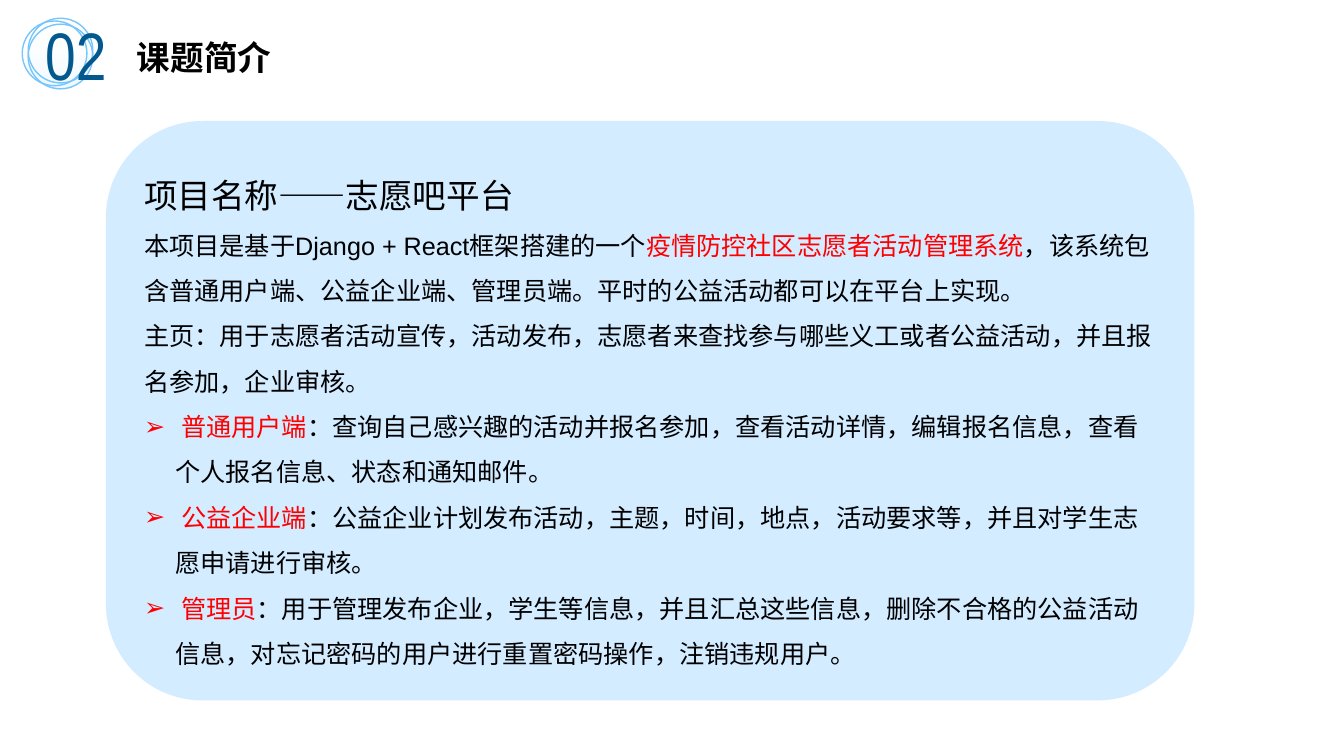
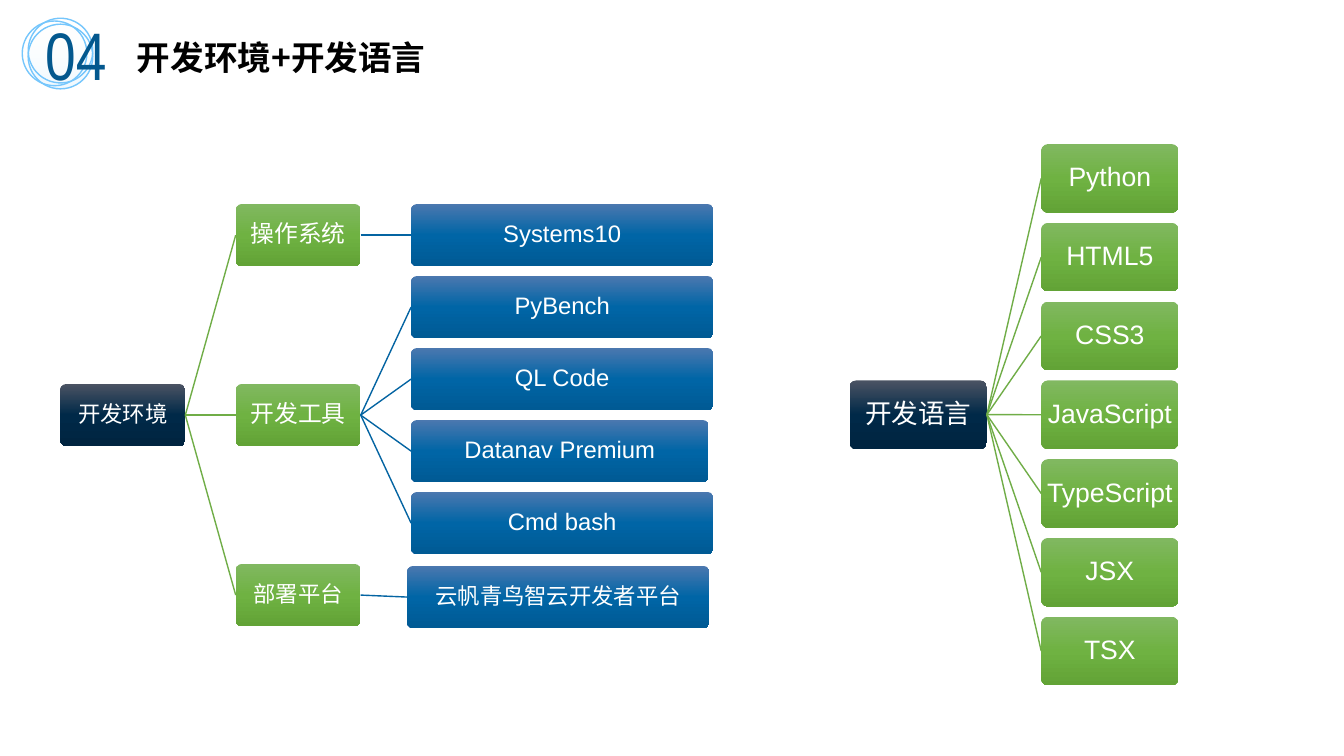
from dataclasses import dataclass

from lxml import etree
from pptx import Presentation
from pptx.dml.color import RGBColor
from pptx.enum.shapes import MSO_CONNECTOR, MSO_SHAPE
from pptx.enum.text import MSO_ANCHOR, MSO_AUTO_SIZE, PP_ALIGN
from pptx.oxml.ns import qn
from pptx.util import Cm, Pt

ELLIPSE = MSO_SHAPE.OVAL
ROUNDED = MSO_SHAPE.ROUNDED_RECTANGLE
STRAIGHT = MSO_CONNECTOR.STRAIGHT
TOP, MIDDLE = MSO_ANCHOR.TOP, MSO_ANCHOR.MIDDLE
LEFT, CENTER = PP_ALIGN.LEFT, PP_ALIGN.CENTER
NO_FIT = MSO_AUTO_SIZE.NONE
TITLE_AND_BODY, TITLE_ONLY = 1, 5
SITE_LEFT, SITE_RIGHT = 1, 3

LATIN, NARROW, CJK = "Arial", "Arial Narrow", "Noto Sans CJK SC"
BLACK, WHITE, RED = "000000", "FFFFFF", "FF0000"
PANEL_BLUE, NUMBER_BLUE, RING_BLUE = "D3ECFF", "03588E", "75C6FC"
RING_LIGHT, RING_DARK = "EEF8FF", "9AD6FD"
LEVEL_FILLS = [
    [(0, "4B5363"), (50, "002948"), (100, "002440")],
    [(0, "81B861"), (50, "6FB242"), (100, "62A336")],
    [(0, "4B78AF"), (50, "0065A6"), (100, "005A94")],
]
LEVEL_LINES = [None, "70AD47", "0464A2"]
RINGS = [
    (0.15, 0.15, 0, 0, 16),
    (0, 0.07, 60, 69, 29),
    (0.15, 0, 138.6, 74, 29),
]
RING_SIZE = 1.63

HEADING = "项目名称——志愿吧平台"
INTRO = [
    [
        ("本项目是基于Django + React框架搭建的一个", BLACK),
        ("疫情防控社区志愿者活动管理系统", RED),
        ("，该系统包含普通用户端、公益企业端、管理员端。"
         "平时的公益活动都可以在平台上实现。", BLACK),
    ],
    [("主页：用于志愿者活动宣传，活动发布，志愿者来查找参与哪些义工"
      "或者公益活动，并且报名参加，企业审核。", BLACK)],
]
ROLES = [
    ("普通用户端", "：查询自己感兴趣的活动并报名参加，查看活动详情，"
     "编辑报名信息，查看个人报名信息、状态和通知邮件。"),
    ("公益企业端", "：公益企业计划发布活动，主题，时间，地点，活动要求等，"
     "并且对学生志愿申请进行审核。"),
    ("管理员", "：用于管理发布企业，学生等信息，并且汇总这些信息，"
     "删除不合格的公益活动信息，对忘记密码的用户进行重置密码操作，注销违规用户。"),
]


@dataclass
class Node:
    text: str
    size: int = 17
    children: tuple = ()
    dx: float = 0
    dy: float = 0
    dw: float = 0


@dataclass
class TreeStyle:
    widths: tuple
    height: float
    gap: float


ENVIRONMENT = Node("开发环境", 16, (
    Node("操作系统", children=(Node("Systems10"),)),
    Node("开发工具", children=(
        Node("PyBench"),
        Node("QL Code"),
        Node("Datanav Premium", dw=-0.12),
        Node("Cmd bash"),
    )),
    Node("部署平台", 16, (Node("云帆青鸟智云开发者平台", 16, dx=-0.1, dy=0.05),)),
))
LANGUAGES = Node("开发语言", 19, tuple(
    Node(name, 19) for name in
    ("Python", "HTML5", "CSS3", "JavaScript", "TypeScript", "JSX", "TSX")
))
ENVIRONMENT_STYLE = TreeStyle((3.15, 3.15, 7.62), 1.57, 1.27)
LANGUAGES_STYLE = TreeStyle((3.46, 3.46), 1.73, 1.37)


def rgb(value):
    return RGBColor.from_string(value)


def apply(obj, **values):
    for name, value in values.items():
        setattr(obj, name, value)


def place(sp, x, y, w, h):
    apply(sp, left=Cm(x), top=Cm(y), width=Cm(w), height=Cm(h))


def frame(sp, anchor=TOP, wrap=True, x_inset=0.25, y_inset=0.13):
    tf = sp.text_frame
    apply(tf, auto_size=NO_FIT, word_wrap=wrap, vertical_anchor=anchor,
          margin_left=Cm(x_inset), margin_right=Cm(x_inset),
          margin_top=Cm(y_inset), margin_bottom=Cm(y_inset))
    return tf


def add_run(p, text, size, color, font=LATIN, bold=False):
    r = p.add_run()
    r.text = text
    apply(r.font, size=Pt(size), name=font, bold=bold)
    r.font.color.rgb = rgb(color)
    ea = etree.SubElement(r._r.get_or_add_rPr(), qn("a:ea"))
    ea.set("typeface", CJK)


def add_shape(slide, kind, x, y, w, h):
    sp = slide.shapes.add_shape(kind, Cm(x), Cm(y), Cm(w), Cm(h))
    sp.shadow.inherit = False
    sp.line.fill.background()
    return sp


def gradient(sp, stops):
    sp.fill.gradient()
    sp.fill.gradient_angle = 270
    gs_list = sp._element.spPr.find(".//" + qn("a:gsLst"))
    for gs in list(gs_list):
        gs_list.remove(gs)
    for pos, color, *alpha in stops:
        gs = etree.SubElement(gs_list, qn("a:gs"), pos=str(pos * 1000))
        clr = etree.SubElement(gs, qn("a:srgbClr"), val=color)
        for value in alpha:
            etree.SubElement(clr, qn("a:alpha"), val=str(value * 1000))


def add_header(slide, x, y, number, title):
    sp = slide.shapes.title
    place(sp, x + 2.64, y + 0.33, 12.45, 1.27)
    p = frame(sp).paragraphs[0]
    p.alignment = LEFT
    add_run(p, title, 24, BLACK, CJK, True)
    for dx, dy, angle, start, alpha in RINGS:
        ring = add_shape(slide, ELLIPSE, x + dx, y + dy, RING_SIZE, RING_SIZE)
        ring.rotation = angle
        gradient(ring, [(start, RING_LIGHT, 0), (100, RING_DARK, alpha)])
        ring.line.color.rgb = rgb(RING_BLUE)
        ring.line.width = Pt(1)
    box = slide.shapes.add_textbox(Cm(x + 0.33), Cm(y - 0.26), Cm(2.29), Cm(2.31))
    add_run(frame(box, wrap=False).paragraphs[0], number, 48, NUMBER_BLUE, NARROW)


def set_bullet(p, char=None):
    indent = Cm(0.79) if char else 0
    pPr = p._p.get_or_add_pPr()
    pPr.set("marL", str(indent))
    pPr.set("indent", str(-indent))
    if char:
        etree.SubElement(pPr, qn("a:buFont"), typeface=LATIN)
        etree.SubElement(pPr, qn("a:buChar"), char=char)
    else:
        etree.SubElement(pPr, qn("a:buNone"))


def add_intro_panel(slide, x, y, w, h):
    panel = add_shape(slide, ROUNDED, x, y, w, h)
    panel.fill.solid()
    panel.fill.fore_color.rgb = rgb(PANEL_BLUE)
    body = slide.placeholders[1]
    pad = 0.71
    place(body, x + pad, y + pad, w - 2 * pad, h - 2 * pad)
    slide.shapes._spTree.append(body._element)
    tf = frame(body)
    rows = [(24, None, [(HEADING, BLACK)])]
    rows += [(18, None, runs) for runs in INTRO]
    rows += [(18, "➢", [(" " + role, RED), (duty, BLACK)]) for role, duty in ROLES]
    for i, (size, bullet, runs) in enumerate(rows):
        p = tf.add_paragraph() if i else tf.paragraphs[0]
        apply(p, alignment=LEFT, line_spacing=1.5, space_before=Pt(0))
        set_bullet(p, bullet)
        for text, color in runs:
            add_run(p, text, size, color)


def add_node(slide, node, level, x, y, w, h):
    sp = add_shape(slide, ROUNDED, x + node.dx, y + node.dy, w + node.dw, h)
    sp.adjustments[0] = 0.1
    gradient(sp, LEVEL_FILLS[level])
    p = frame(sp, MIDDLE, False, 0.03, 0.03).paragraphs[0]
    apply(p, alignment=CENTER, line_spacing=0.9)
    add_run(p, node.text, node.size, WHITE)
    return sp


def add_link(slide, parent, child, color):
    cn = slide.shapes.add_connector(STRAIGHT, 0, 0, 0, 0)
    cn.begin_connect(parent, SITE_RIGHT)
    cn.end_connect(child, SITE_LEFT)
    cn.line.color.rgb = rgb(color)
    cn.line.width = Pt(1)
    etree.SubElement(cn._element.spPr, qn("a:effectLst"))


def count_leaves(node):
    return sum(map(count_leaves, node.children)) or 1


def add_tree(slide, x, y, h, root, style):
    pitch = (h - style.height) / (count_leaves(root) - 1)
    tops = iter([y + i * pitch for i in range(count_leaves(root))])

    def add_branch(node, level, left):
        w = style.widths[level]
        branches = [add_branch(child, level + 1, left + w + style.gap)
                    for child in node.children]
        if branches:
            top = sum(t for _, t in branches) / len(branches)
        else:
            top = next(tops)
        sp = add_node(slide, node, level, left, top, w, style.height)
        for child, _ in branches:
            add_link(slide, sp, child, LEVEL_LINES[level + 1])
        return sp, top

    add_branch(root, 0, x)


def add_slide(prs, layout, number, title):
    slide = prs.slides.add_slide(prs.slide_layouts[layout])
    add_header(slide, 0.56, 0.46, number, title)
    return slide


def main():
    prs = Presentation()
    apply(prs, slide_width=Cm(33.87), slide_height=Cm(19.05))
    slide = add_slide(prs, TITLE_AND_BODY, "02", "课题简介")
    add_intro_panel(slide, 2.67, 3.05, 27.43, 14.6)
    slide = add_slide(prs, TITLE_ONLY, "04", "开发环境+开发语言")
    add_tree(slide, 1.52, 5.14, 10.64, ENVIRONMENT, ENVIRONMENT_STYLE)
    add_tree(slide, 21.41, 3.63, 13.64, LANGUAGES, LANGUAGES_STYLE)
    prs.save("out.pptx")


if __name__ == "__main__":
    main()
